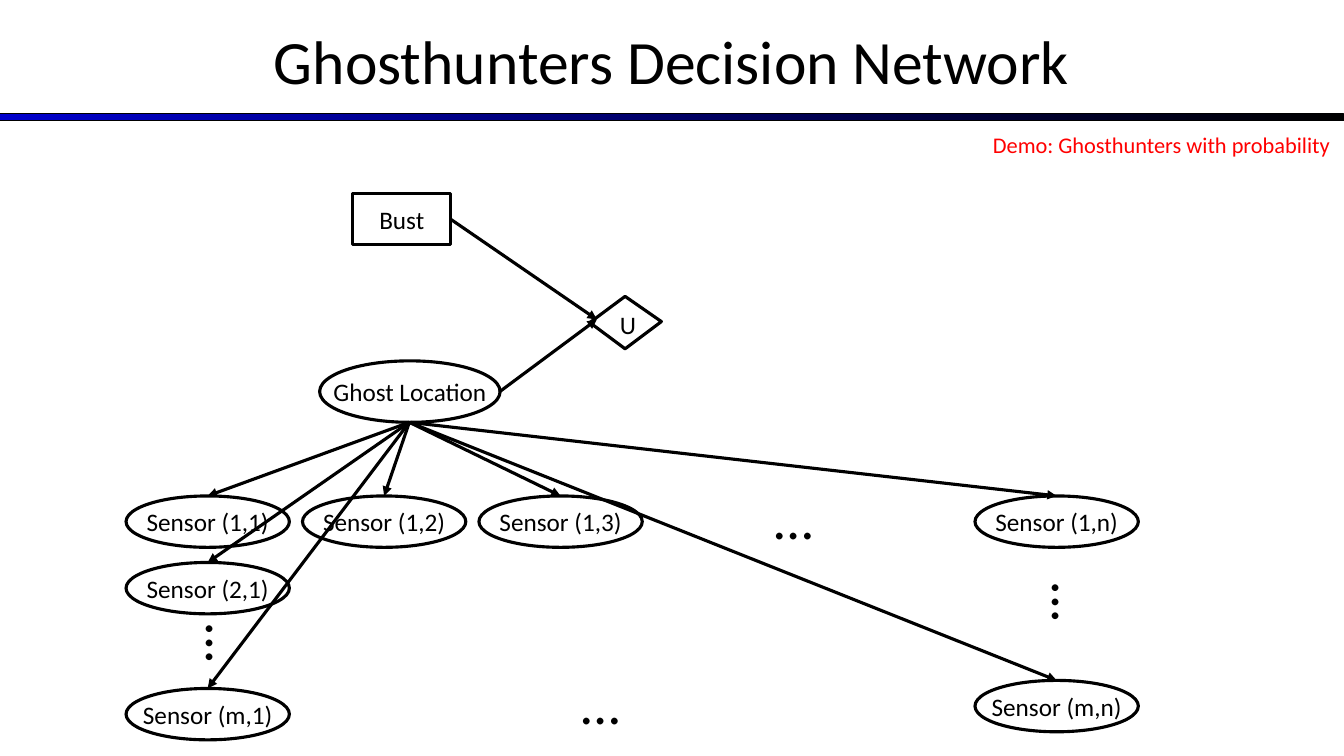
"""Build a decision network slide with a bust action, a ghost location and a grid of sensors."""
import pptx
import pptx.util
import pptx.dml.color
import pptx.enum.shapes
import pptx.enum.text
import pptx.oxml
import pptx.oxml.ns

PX = 9144
HUES = {"ink": "000000", "paper": "FFFFFF", "blue": "0000CC", "red": "FF0000"}
RGB = {key: pptx.dml.color.RGBColor.from_string(hue) for key, hue in HUES.items()}
KIND = pptx.enum.shapes.MSO_SHAPE
LEFT, MID = pptx.enum.text.PP_ALIGN.LEFT, pptx.enum.text.PP_ALIGN.CENTER
FIT = {"word_wrap": False, "auto_size": pptx.enum.text.MSO_AUTO_SIZE.SHAPE_TO_FIT_TEXT}
BODY = {"word_wrap": False, "vertical_anchor": pptx.enum.text.MSO_ANCHOR.MIDDLE}


def write(shape, text, size, look, align=LEFT, hue="ink"):
    frame = shape.text_frame
    frame.text = text
    for key, value in look.items():
        setattr(frame, key, value)
    para = frame.paragraphs[0]
    para.alignment = align
    form = {"name": "Calibri", "size": pptx.util.Pt(size), "bold": False}
    for key, value in form.items():
        setattr(para.font, key, value)
    para.font.color.rgb = RGB[hue]


def trim(shape, fill=None, width=2.25):
    shape.shadow.inherit = False
    shape.line.color.rgb = RGB["ink"]
    shape.line.width = pptx.util.Pt(width)
    if fill:
        shape.fill.solid()
        shape.fill.fore_color.rgb = RGB[fill]
    else:
        shape.fill.background()


deck = pptx.Presentation()
deck.slide_width, deck.slide_height = 1333 * PX, 750 * PX
slide = deck.slides.add_slide(deck.slide_layouts[5])
shapes = slide.shapes

bar = shapes.add_shape(KIND.RECTANGLE, 0, 113 * PX, 1333 * PX, 7 * PX)
trim(bar, width=0.75)
bar.fill.gradient()
bar.fill.gradient_angle = 0
for stop, hue in zip(bar.fill.gradient_stops, ("blue", "ink")):
    stop.color.rgb = RGB[hue]

title = shapes.title
place = {"left": 0, "top": -3, "width": 1333, "height": 125}
for key, value in place.items():
    setattr(title, key, value * PX)
write(title, "Ghosthunters Decision Network", 44, {**BODY, "word_wrap": True}, MID)

sensors = [
    ("1,1", 125, 492), ("1,2", 300, 492), ("1,3", 475, 492), ("1,n", 967, 492),
    ("2,1", 125, 558), ("m,1", 125, 683), ("m,n", 967, 675),
]
nodes = [
    ("Bust", KIND.RECTANGLE, 350, 192, 97, 51, "paper"),
    ("Ghost Location", KIND.OVAL, 317, 358, 179, 61, "paper"),
]
nodes += [(f"Sensor ({cell})", KIND.OVAL, x, y, 162, 51, None) for cell, x, y in sensors]
made = {}
for text, kind, x, y, wide, high, fill in nodes:
    node = shapes.add_shape(kind, x * PX, y * PX, wide * PX, high * PX)
    trim(node, fill)
    write(node, text, 18, BODY, MID)
    made[text] = node

pen = shapes.build_freeform(620, 294, scale=PX)
pen.add_line_segments([(585, 320), (620, 346), (656, 319)], close=True)
gem = pen.convert_to_shape()
trim(gem, "paper")
label = shapes.add_textbox(605 * PX, 302 * PX, 32 * PX, 35 * PX)
write(label, "U", 18, {**FIT, "word_wrap": True})
shapes.add_group_shape([gem, label])

links = [(447, 217, 592, 317), (495, 389, 592, 317)]
links += [(406, 419, x + 81, y) for cell, x, y in sensors]
arrows = []
for ends in links:
    arrow = shapes.add_connector(
        pptx.enum.shapes.MSO_CONNECTOR.STRAIGHT, *(end * PX for end in ends))
    arrow.line.color.rgb = RGB["ink"]
    arrow.line.width = pptx.util.Pt(2.25)
    tip = pptx.oxml.parse_xml(
        f'<a:tailEnd {pptx.oxml.ns.nsdecls("a")} type="triangle" w="med" len="med"/>')
    arrow.line._get_or_add_ln().append(tip)
    flat = pptx.oxml.parse_xml(f'<a:effectLst {pptx.oxml.ns.nsdecls("a")}/>')
    arrow._element.spPr.append(flat)
    arrows.append(arrow)
arrows[0].begin_connect(made["Bust"], 3)

for x, y, turn in [(567, 658, 0), (758, 475, 0), (998, 558, 270), (159, 599, 270)]:
    dots = shapes.add_textbox(x * PX, y * PX, 59 * PX, 77 * PX)
    dots.rotation = turn
    write(dots, "…", 40, FIT)

demo = shapes.add_textbox(975 * PX, 125 * PX, 357 * PX, 37 * PX)
write(demo, "Demo: Ghosthunters with probability", 16, FIT, hue="red")

deck.save("out.pptx")
